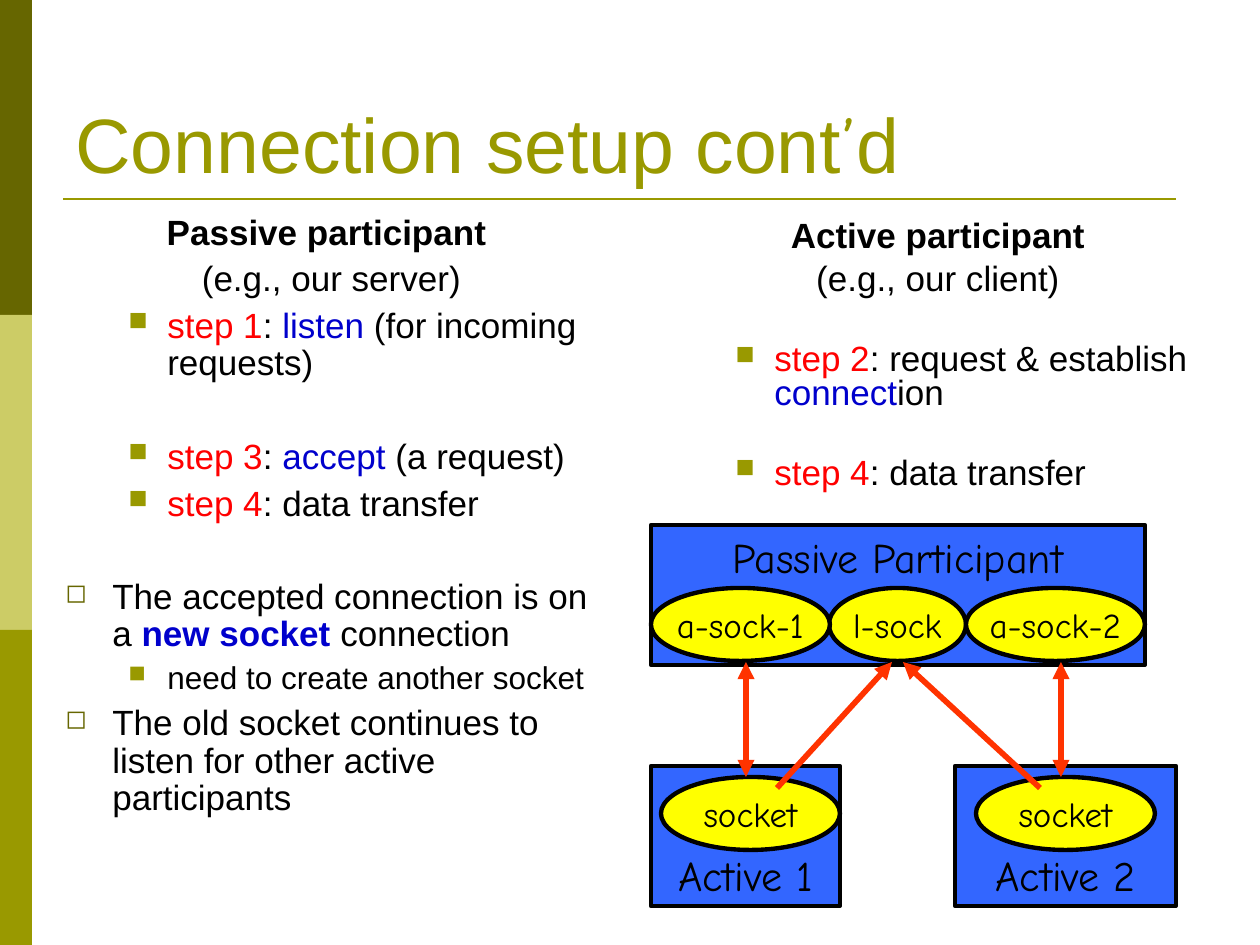
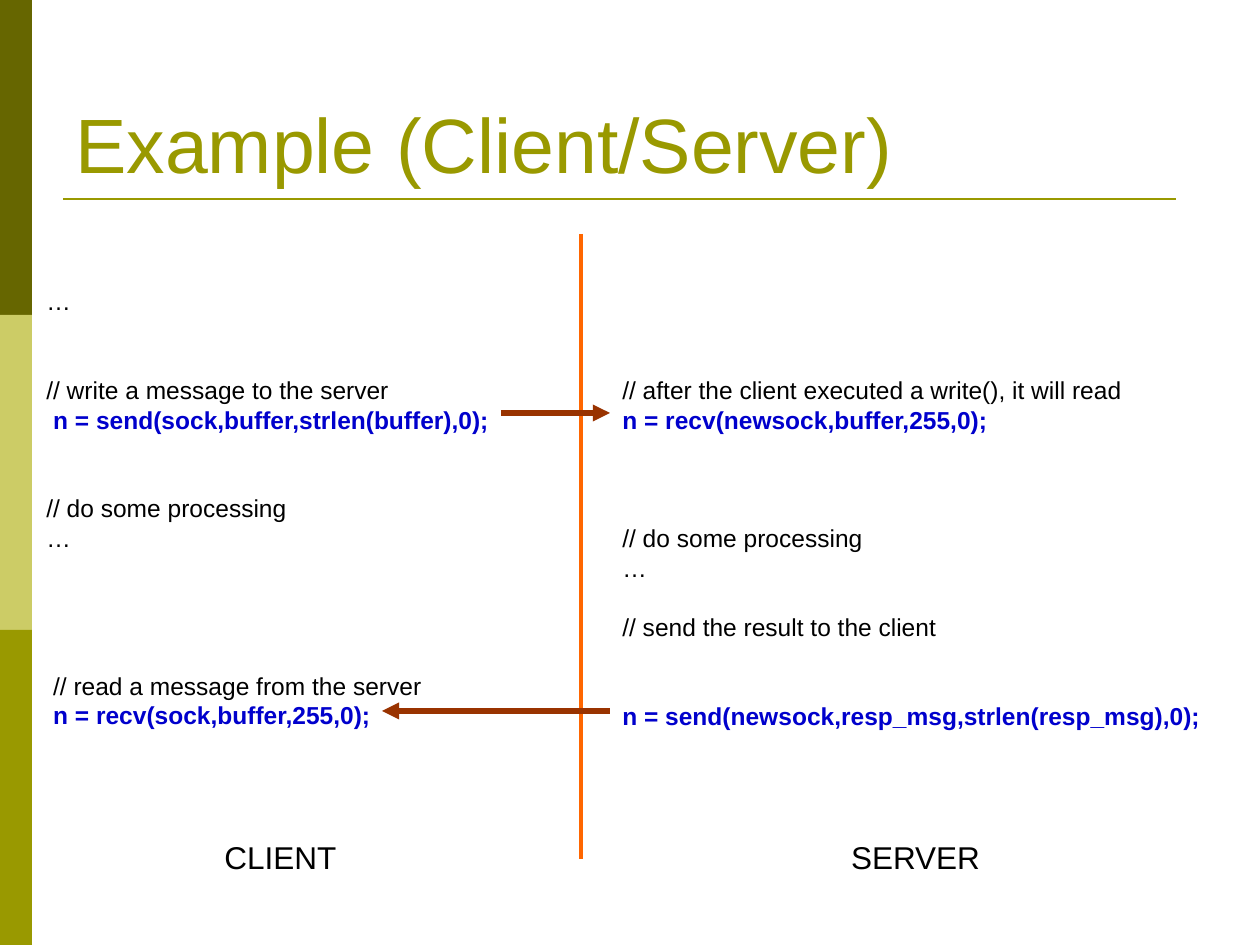
from lxml.etree import SubElement
from pptx import Presentation
from pptx.dml.color import RGBColor
from pptx.enum.shapes import MSO_CONNECTOR as CONN, MSO_SHAPE as SHAPE
from pptx.enum.text import MSO_ANCHOR as ANCHOR, PP_ALIGN as ALIGN
from pptx.oxml.ns import qn
from pptx.util import Pt

COLORS = {
    "black": "000000", "white": "FFFFFF", "dark": "666600", "light": "CCCC66",
    "olive": "999900", "red": "FF0000", "blue": "0000CC", "box": "3366FF",
    "socket": "FFFF00", "link": "FF3300", "divider": "FF6600", "call": "993300",
}
PX = 914400 / 126
SANS, COMIC = "Arial", "Comic Neue"
BULLETS = {
    "outer": ("◻", "dark", 47, -47),
    "inner": ("■", "olive", 102, -39),
}


def px(n):
    """Turn px into EMU."""
    return round(n * PX)


def rgb(name):
    """Look up a named colour."""
    return RGBColor.from_string(COLORS[name])


class Deck:
    """Holds the style and the current slide."""

    def __init__(self):
        """Start a presentation of 1260 by 945 px."""
        self.prs = Presentation()
        self.prs.slide_width, self.prs.slide_height = px(1260), px(945)
        self.s = None

    def slide(self, title):
        """Add a slide with side bands, rule and title runs."""
        self.s = self.prs.slides.add_slide(self.prs.slide_layouts[6])
        for i, color in enumerate(("dark", "light", "olive")):
            self.shape(SHAPE.RECTANGLE, (0, 315 * i, 32, 315), color)
        self.line((63, 199), (1176, 199), "olive", 1.5)
        tf = self.box((63, 38, 1134, 157))
        tf.vertical_anchor = ANCHOR.BOTTOM
        for text, font in title:
            self.run(tf.paragraphs[0], text, 44, "olive", font=font)

    def run(self, p, text, size, color="black", bold=False, font=SANS):
        """Add one formatted run."""
        r = p.add_run()
        r.text = text
        r.font.size, r.font.name, r.font.bold = Pt(size), font, bold
        r.font.color.rgb = rgb(color)

    def box(self, at, wrap=True):
        """Add a text box and return its frame."""
        tf = self.s.shapes.add_textbox(*map(px, at)).text_frame
        tf.word_wrap = wrap
        return tf

    def bullet(self, p, kind):
        """Give a paragraph a coloured bullet with a hanging indent."""
        char, color, left, hang = BULLETS[kind]
        pPr = p._p.get_or_add_pPr()
        pPr.set("marL", str(px(left)))
        pPr.set("indent", str(px(hang)))
        clr = SubElement(pPr, qn("a:buClr"))
        SubElement(clr, qn("a:srgbClr"), val=COLORS[color])
        SubElement(pPr, qn("a:buSzPct"), val="75000")
        SubElement(pPr, qn("a:buChar"), char=char)

    def body(self, at, items, leading):
        """Add paragraphs of (kind, size, space before, runs)."""
        tf = self.box(at)
        for i, (kind, size, before, runs) in enumerate(items):
            p = tf.add_paragraph() if i else tf.paragraphs[0]
            p.line_spacing = Pt(round(size * leading, 1))
            p.space_before = Pt(before if i else 0)
            if kind in BULLETS:
                self.bullet(p, kind)
            elif kind == "head":
                p.alignment = ALIGN.CENTER
            for text, *style in runs:
                self.run(p, text, size, *style)

    def code(self, at, rows):
        """Add code lines of (blank rows above, text, is a call)."""
        self.body(at, [("code", 14, round(3.5 + 16.9 * skip, 1),
                        [(text, "blue" if call else "black", call)])
                       for skip, text, call in rows], 0.96)

    def label(self, at, text):
        """Add a centred caption."""
        p = self.box(at, wrap=False).paragraphs[0]
        p.alignment = ALIGN.CENTER
        self.run(p, text, 18)

    def shape(self, kind, at, fill, text="", size=20, anchor=ANCHOR.MIDDLE):
        """Add a filled shape, outlined and lettered when it has text."""
        sp = self.s.shapes.add_shape(kind, *map(px, at))
        sp.shadow.inherit = False
        sp.fill.solid()
        sp.fill.fore_color.rgb = rgb(fill)
        if not text:
            sp.line.fill.background()
            return
        sp.line.color.rgb, sp.line.width = rgb("black"), Pt(2.5)
        tf = sp.text_frame
        tf.word_wrap, tf.vertical_anchor = False, anchor
        p = tf.paragraphs[0]
        p.alignment = ALIGN.CENTER
        self.run(p, text, size, font=COMIC)

    def participant(self, at, text, anchor):
        """Add a participant rectangle."""
        self.shape(SHAPE.RECTANGLE, at, "box", text, 24, anchor)

    def socket(self, x, y, text, width=179):
        """Add a socket ellipse."""
        self.shape(SHAPE.OVAL, (x, y, width, 73), "socket", text)

    def line(self, start, end, color, width, heads=()):
        """Add a straight line with arrowheads at the named ends."""
        c = self.s.shapes.add_connector(CONN.STRAIGHT, *map(px, start + end))
        c.line.color.rgb, c.line.width = rgb(color), Pt(width)
        for head in heads:
            SubElement(c.line._get_or_add_ln(), qn(f"a:{head}"), type="triangle")
        SubElement(c._element.spPr, qn("a:effectLst"))


def step(number, *runs, before=5):
    """Describe a numbered step with its red lead."""
    return "inner", 20, before, [(f"step {number}", "red"), *runs]


def connection_setup(deck):
    """Build the slide on the two participants and their sockets."""
    deck.slide([("Connection setup cont", SANS), ("’", COMIC), ("d", SANS)])
    deck.body((53, 208, 557, 672), [
        ("head", 20, 0, [("Passive participant ", "black", True)]),
        ("head", 20, 5, [("(e.g., our server)",)]),
        step(1, (": ",), ("listen", "blue"), (" (for incoming requests)",)),
        step(3, (": ",), ("accept", "blue"), (" (a request)",), before=32),
        step(4, (": data transfer",)),
        ("outer", 20, 31.5, [("The accepted connection is on a ",),
                             ("new socket ", "blue", True), ("connection",)]),
        ("inner", 18, 4.5, [("need to create another socket",)]),
        ("outer", 20, 5, [("The old socket continues to listen for "
                           "other active participants",)]),
    ], 1.08)
    deck.body((660, 216, 556, 310), [
        ("head", 20, 0, [("Active participant", "black", True)]),
        ("head", 20, 5, [("(e.g., our client)",)]),
        step(2, (": request & establish ",), ("connect", "blue"), ("ion",),
             before=27),
        step(4, (": data transfer",), before=26.5),
    ], 0.96)

    deck.participant((651, 525, 494, 140), "Passive Participant", ANCHOR.TOP)
    deck.socket(829, 588, "l-sock", 137)
    for i, x in enumerate((651, 966), 1):
        deck.socket(x, 588, f"a-sock-{i}")
    for i, (x, width, socket_x) in enumerate(((651, 189, 661),
                                              (955, 221, 976)), 1):
        deck.participant((x, 766, width, 140), f"Active {i}", ANCHOR.BOTTOM)
        deck.socket(socket_x, 777, "socket")
    for request_x, listen_x, data_x in ((777, 892, 746), (1040, 903, 1061)):
        deck.line((request_x, 788), (listen_x, 662), "link", 3.25, ["tailEnd"])
        deck.line((data_x, 662), (data_x, 777), "link", 3.25,
                  ["headEnd", "tailEnd"])


def client_server(deck):
    """Build the slide that sets client code beside server code."""
    deck.slide([("Example (Client/Server)", SANS)])
    deck.code((34, 286, 595, 560), [
        (0, "…", False),
        (2, "// write a message to the server", False),
        (0, " n = send(sock,buffer,strlen(buffer),0);", True),
        (2, "// do some processing", False),
        (0, "…", False),
        (4, " // read a message from the server", False),
        (0, " n = recv(sock,buffer,255,0);", True),
    ])
    deck.code((610, 375, 615, 460), [
        (0, "// after the client executed a write(), it will read", False),
        (0, "n = recv(newsock,buffer,255,0);", True),
        (3, "// do some processing", False),
        (0, "…", False),
        (1, "// send the result to the client", False),
        (2, "n = send(newsock,resp_msg,strlen(resp_msg),0);", True),
    ])
    deck.line((581, 234), (581, 859), "divider", 2.5)
    deck.line((501, 413), (610, 413), "call", 3.25, ["tailEnd"])
    deck.line((610, 711), (382, 711), "call", 3.25, ["tailEnd"])
    deck.label((212, 832, 137, 50), "CLIENT")
    deck.label((838, 832, 155, 50), "SERVER")


def main():
    """Build and save the slides."""
    deck = Deck()
    connection_setup(deck)
    client_server(deck)
    deck.prs.save("out.pptx")


if __name__ == "__main__":
    main()
